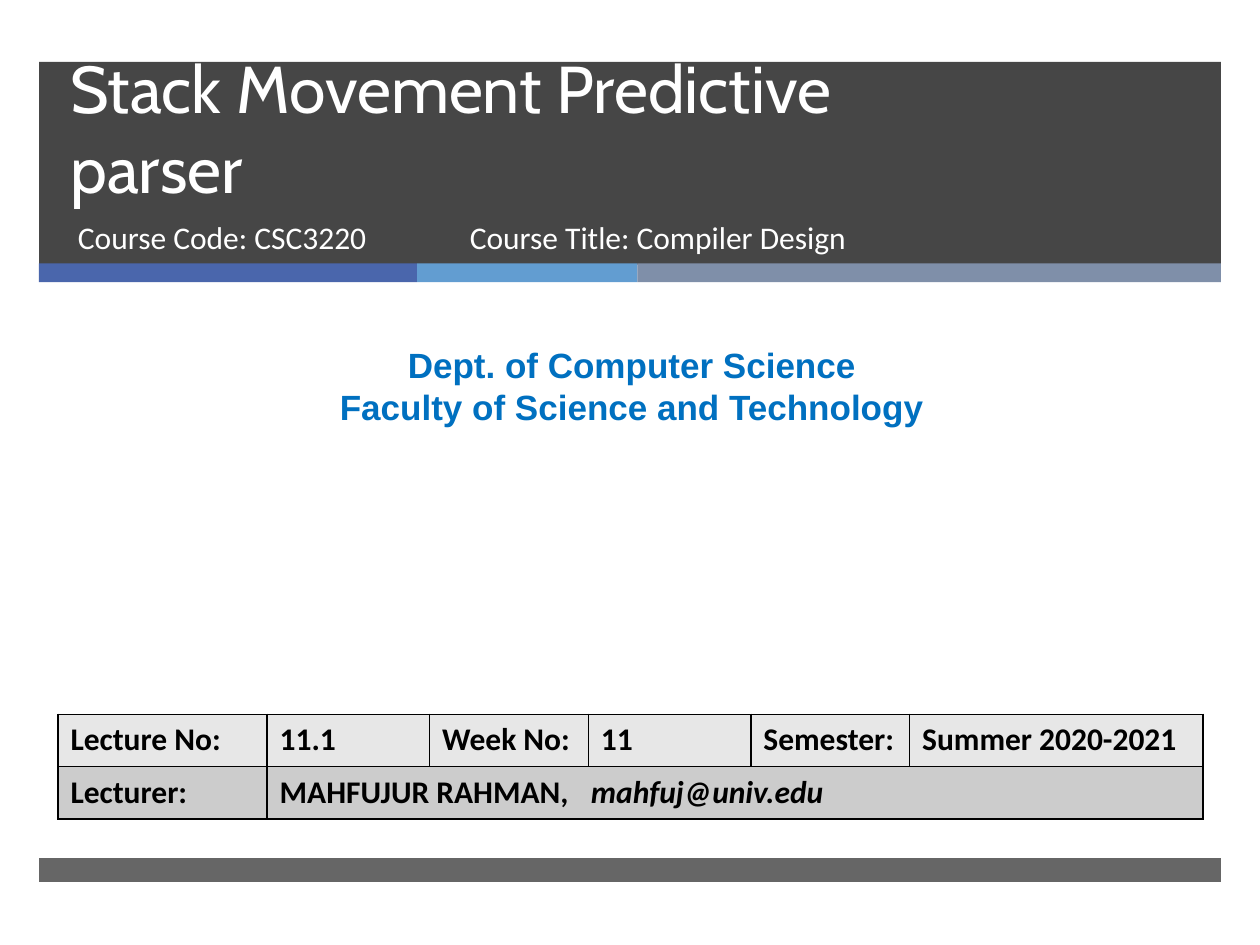
from itertools import accumulate

from lxml import etree
from pptx import Presentation
from pptx.dml.color import RGBColor
from pptx.enum.shapes import MSO_SHAPE
from pptx.enum.text import MSO_ANCHOR, PP_ALIGN
from pptx.oxml.ns import qn
from pptx.util import Inches, Pt

COLORS = {
    "dark": "262626", "blue": "4A66AC", "sky": "629DD1", "slate": "7F8FA9",
    "white": "FFFFFF", "dept": "0070C0", "black": "000000",
    "row1": "E7E7E7", "row2": "CCCCCC",
}
TITLE = {"name": "Cabin", "size": Pt(37.8), "color": "white"}
COURSE = {"name": "Calibri", "size": Pt(18), "color": "white"}
DEPT = {"name": "Arial", "size": Pt(20), "bold": True, "color": "dept"}
CELL = {"name": "Calibri", "size": Pt(18), "bold": True, "color": "black"}


def rgb(key):
    return RGBColor.from_string(COLORS[key])


def style_font(font, fmt):
    for key, value in fmt.items():
        if key == "color":
            font.color.rgb = rgb(value)
        else:
            setattr(font, key, value)


def add_run(p, text, fmt):
    r = p.add_run()
    r.text = text
    style_font(r.font, fmt)


def add_bar(s, left, top, width, height, color, alpha=100):
    sp = s.shapes.add_shape(MSO_SHAPE.RECTANGLE, Inches(left), Inches(top),
                            Inches(width), Inches(height))
    sp.shadow.inherit = False
    sp.fill.solid()
    sp.fill.fore_color.rgb = rgb(color)
    sp.line.fill.background()
    if alpha < 100:
        clr = sp.fill._xPr.find(".//" + qn("a:srgbClr"))
        etree.SubElement(clr, qn("a:alpha"), val=str(alpha * 1000))


def add_text(s, left, top, width, height, lines, fmt,
             align=PP_ALIGN.LEFT, anchor=MSO_ANCHOR.TOP, spacing=None):
    tf = s.shapes.add_textbox(Inches(left), Inches(top),
                              Inches(width), Inches(height)).text_frame
    tf.word_wrap = True
    tf.vertical_anchor = anchor
    for i, line in enumerate(lines):
        p = tf.add_paragraph() if i else tf.paragraphs[0]
        p.alignment = align
        p.line_spacing = spacing
        for j, part in enumerate(line.split("\v")):
            if j:
                p.add_line_break()
            add_run(p, part, fmt)


def set_borders(cell):
    tcPr = cell._tc.get_or_add_tcPr()
    for i, side in enumerate(("a:lnL", "a:lnR", "a:lnT", "a:lnB")):
        ln = etree.Element(qn(side), w=str(Pt(1)))
        fill = etree.SubElement(ln, qn("a:solidFill"))
        etree.SubElement(fill, qn("a:srgbClr"), val=COLORS["black"])
        tcPr.insert(i, ln)


def add_tab_stop(p, pos):
    tabs = etree.SubElement(p._p.get_or_add_pPr(), qn("a:tabLst"))
    etree.SubElement(tabs, qn("a:tab"), pos=str(Inches(pos)), algn="l")


def add_lecture_table(s):
    widths = [1.66, 1.29, 1.26, 1.29, 1.26, 2.33]
    rows = [
        ["Lecture No:", "11.1", "Week No:", "11", "Semester:", "Summer 2020-2021"],
        ["Lecturer:", "MAHFUJUR RAHMAN,\t"],
    ]
    table = s.shapes.add_table(2, len(widths), Inches(0.46), Inches(5.67),
                               Inches(sum(widths)), Inches(0.83)).table
    for col, width in zip(table.columns, widths):
        col.width = Inches(width)
    for i, texts in enumerate(rows):
        for j, cell in enumerate(table.rows[i].cells):
            cell.fill.solid()
            cell.fill.fore_color.rgb = rgb(f"row{i + 1}")
            set_borders(cell)
            if j < len(texts):
                add_run(cell.text_frame.paragraphs[0], texts[j], CELL)
    lecturer = table.cell(1, 1)
    lecturer.merge(table.cell(1, len(widths) - 1))
    p = lecturer.text_frame.paragraphs[0]
    add_tab_stop(p, 2.47)
    add_run(p, "mahfuj@univ.edu", {**CELL, "italic": True})


def main():
    prs = Presentation()
    prs.slide_width, prs.slide_height = Inches(10), Inches(7.5)
    s = prs.slides.add_slide(prs.slide_layouts[6])

    add_bar(s, 0.31, 0.49, 9.38, 1.61, "dark", 85)
    widths = [3, 1.75, 4.63]
    lefts = accumulate(widths, initial=0.31)
    for left, width, color in zip(lefts, widths, ("blue", "sky", "slate")):
        add_bar(s, left, 2.09, width, 0.15, color)
    add_bar(s, 0.31, 6.81, 9.38, 0.19, "dark", 70)

    add_text(s, 0.46, 0.5, 8.54, 1.19, ["Stack Movement Predictive\vparser"],
             TITLE, anchor=MSO_ANCHOR.BOTTOM, spacing=Pt(46))
    add_text(s, 0.52, 1.68, 3.05, 0.53, ["Course Code: CSC3220"], COURSE)
    add_text(s, 0.08, 2.68, 9.87, 0.77,
             ["Dept. of Computer Science", "Faculty of Science and Technology"],
             DEPT, align=PP_ALIGN.CENTER)
    add_text(s, 3.63, 1.68, 4.55, 0.53, ["Course Title: Compiler Design"], COURSE)
    add_lecture_table(s)

    prs.save("out.pptx")


if __name__ == "__main__":
    main()
